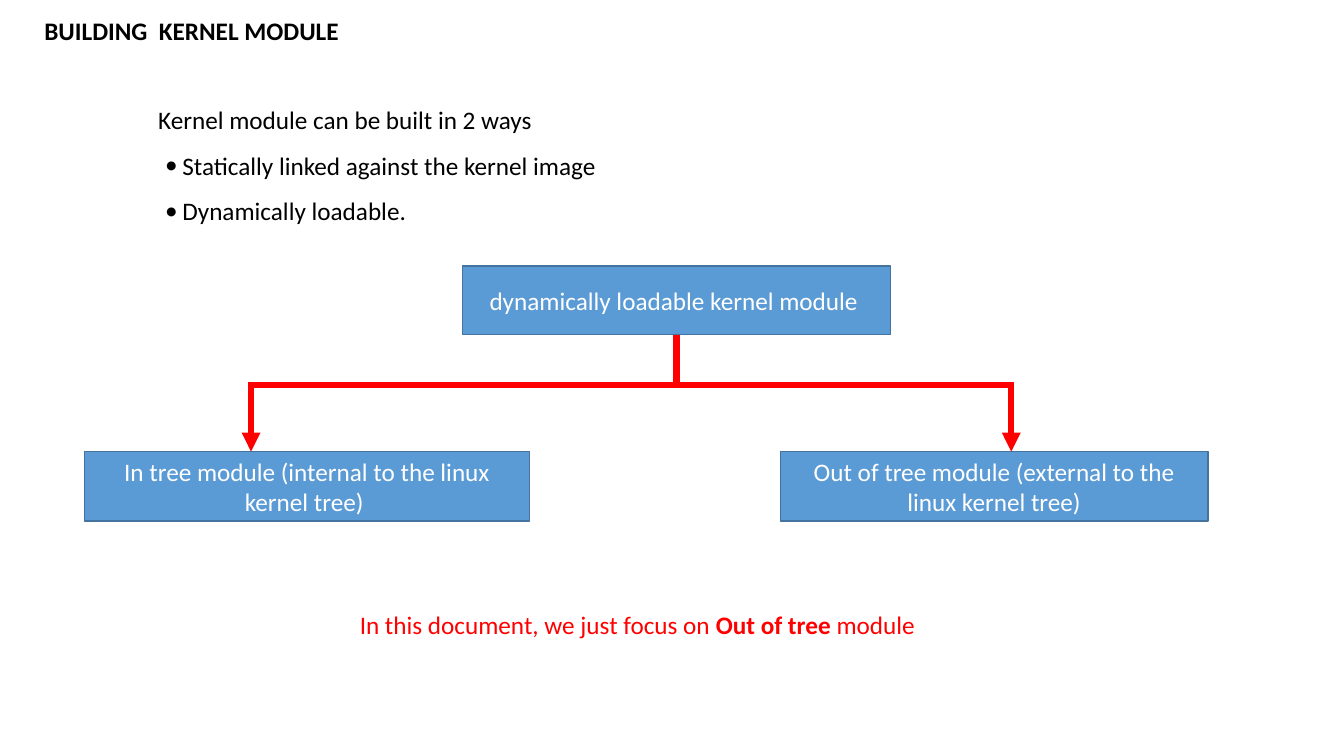
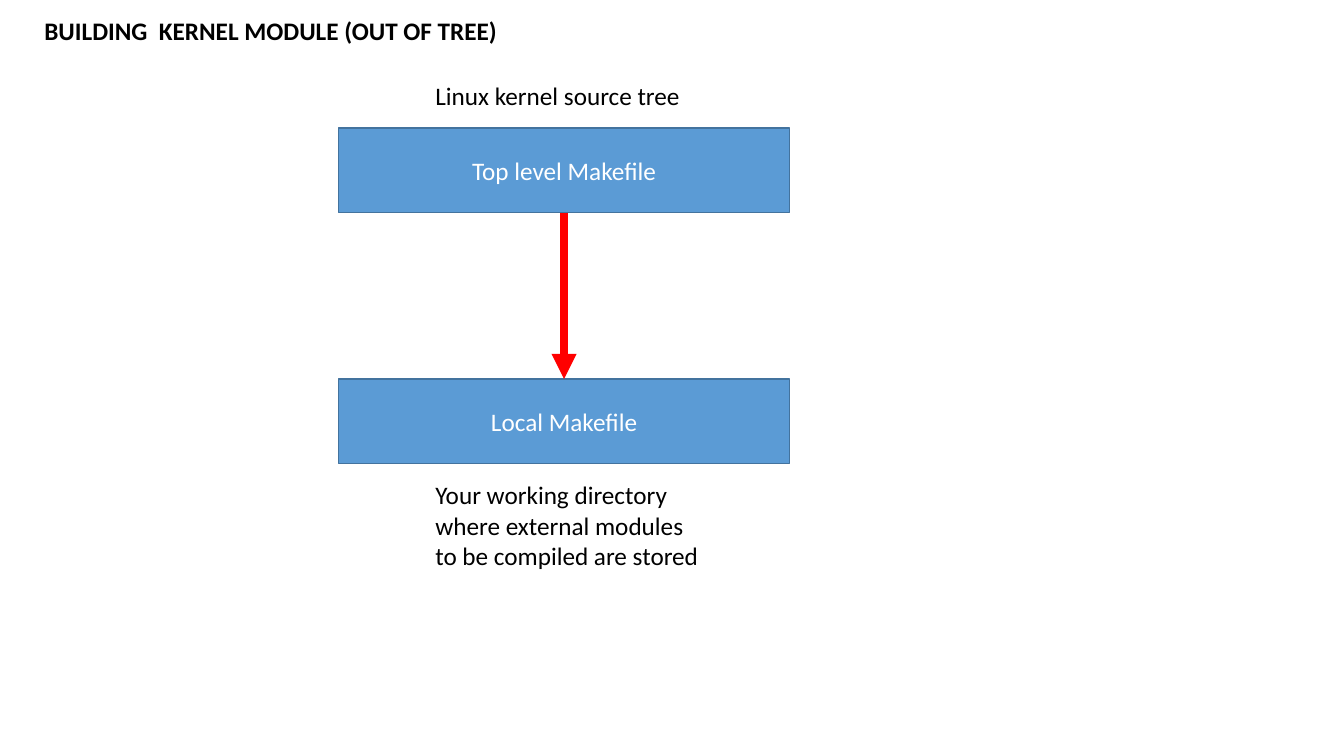
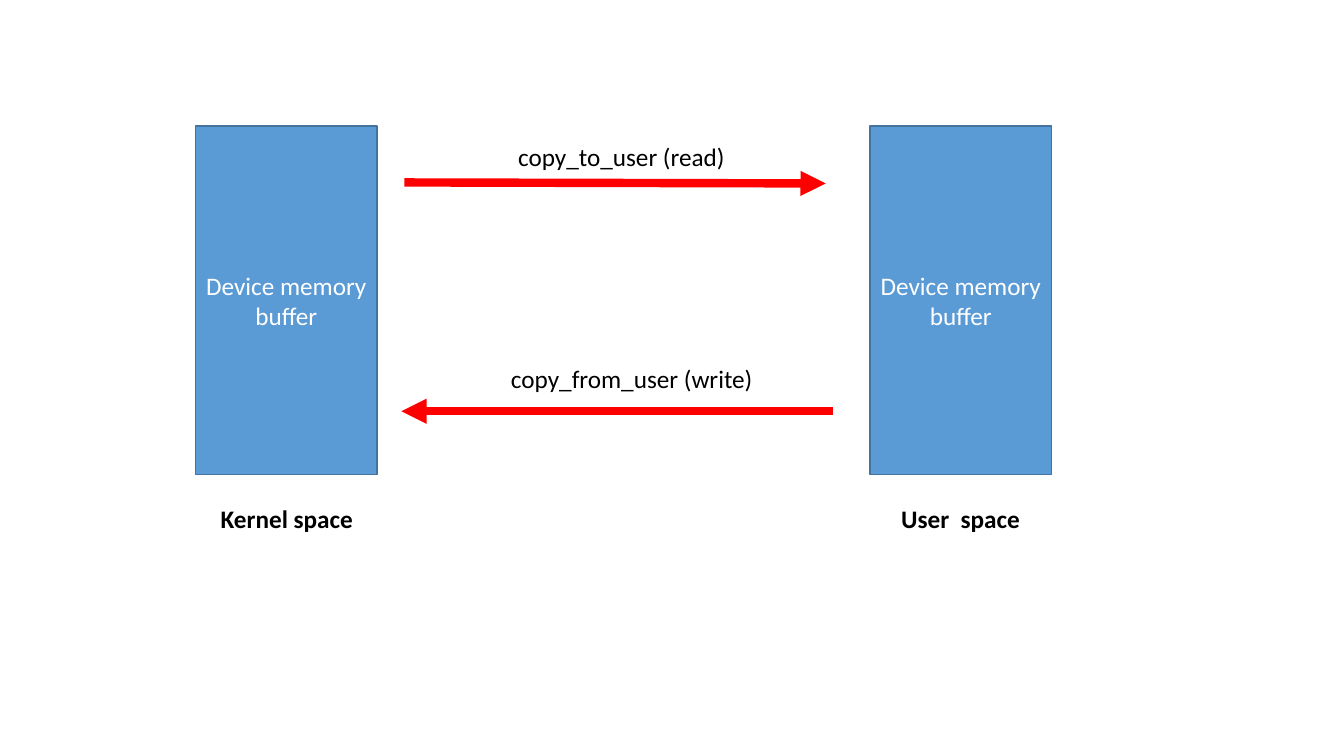
from dataclasses import dataclass
from typing import Optional

import pptx
import pptx.dml.color
import pptx.enum.shapes
import pptx.enum.text
import pptx.oxml
import pptx.oxml.ns
import pptx.util
from pptx.util import Inches

RGBColor = pptx.dml.color.RGBColor
BLACK = RGBColor(0x00, 0x00, 0x00)
WHITE = RGBColor(0xFF, 0xFF, 0xFF)
RED = RGBColor(0xFF, 0x00, 0x00)
BLUE = RGBColor(0x5B, 0x9B, 0xD5)
DARK_BLUE = RGBColor(0x43, 0x73, 0x9E)
FONT = "Calibri"
FONT_SIZE = pptx.util.Pt(18)
TITLE_ONLY, BLANK = 5, 6


@dataclass
class Box:
    text: str
    left: float
    top: float
    width: float
    height: float


@dataclass
class Label:
    runs: list[str]
    left: float
    top: float
    width: float
    height: float = 0.4
    color: RGBColor = BLACK
    bold_run: Optional[int] = None
    wrap: bool = True


@dataclass
class Line:
    x1: float
    y1: float
    x2: float
    y2: float
    weight: float = 4.5
    arrow: bool = False


def style_font(font, color: RGBColor, bold: bool = False) -> None:
    font.name = FONT
    font.size = FONT_SIZE
    font.bold = bold
    font.color.rgb = color


def add_title(s, text: str, width: float) -> None:
    sp = s.shapes.title
    sp.left, sp.top = Inches(0.34), Inches(0.1)
    sp.width, sp.height = Inches(width), Inches(0.4)
    tf = sp.text_frame
    tf.text = text
    tf.auto_size = pptx.enum.text.MSO_AUTO_SIZE.NONE
    tf.vertical_anchor = pptx.enum.text.MSO_ANCHOR.TOP
    p = tf.paragraphs[0]
    p.alignment = pptx.enum.text.PP_ALIGN.LEFT
    style_font(p.runs[0].font, BLACK, bold=True)


def add_box(s, box: Box):
    sp = s.shapes.add_shape(
        pptx.enum.shapes.MSO_SHAPE.RECTANGLE,
        Inches(box.left), Inches(box.top), Inches(box.width), Inches(box.height))
    sp.shadow.inherit = False
    sp.fill.solid()
    sp.fill.fore_color.rgb = BLUE
    sp.line.color.rgb = DARK_BLUE
    sp.line.width = pptx.util.Pt(1)
    tf = sp.text_frame
    tf.text = box.text
    tf.word_wrap = True
    tf.vertical_anchor = pptx.enum.text.MSO_ANCHOR.MIDDLE
    p = tf.paragraphs[0]
    p.alignment = pptx.enum.text.PP_ALIGN.CENTER
    style_font(p.runs[0].font, WHITE)
    return sp


def add_text_frame(s, left: float, top: float, width: float, height: float, wrap: bool = True):
    tf = s.shapes.add_textbox(
        Inches(left), Inches(top), Inches(width), Inches(height)).text_frame
    tf.word_wrap = wrap
    tf.auto_size = pptx.enum.text.MSO_AUTO_SIZE.SHAPE_TO_FIT_TEXT
    return tf


def add_label(s, label: Label) -> None:
    tf = add_text_frame(s, label.left, label.top, label.width, label.height, label.wrap)
    for i, text in enumerate(label.runs):
        r = tf.paragraphs[0].add_run()
        r.text = text
        style_font(r.font, label.color, bold=i == label.bold_run)


def add_bullet(p) -> None:
    pPr = p._p.get_or_add_pPr()
    pPr.set("marL", str(Inches(0.24)))
    pPr.set("indent", str(Inches(-0.17)))
    for tag, key, value in (("a:buFont", "typeface", FONT), ("a:buChar", "char", "•")):
        bullet = pptx.oxml.parse_xml(f"<{tag} {pptx.oxml.ns.nsdecls('a')}/>")
        bullet.set(key, value)
        pPr.append(bullet)


def add_list(s, intro: str, items: list[str]) -> None:
    tf = add_text_frame(s, 1.47, 0.84, 6.12, 1.46)
    for i, text in enumerate([intro, *items]):
        p = tf.paragraphs[0] if i == 0 else tf.add_paragraph()
        p.text = text
        p.line_spacing = 1.5
        if i > 0:
            add_bullet(p)
        style_font(p.runs[0].font, BLACK)


def add_line(s, line: Line):
    cxn = s.shapes.add_connector(
        pptx.enum.shapes.MSO_CONNECTOR.STRAIGHT,
        Inches(line.x1), Inches(line.y1), Inches(line.x2), Inches(line.y2))
    cxn.line.color.rgb = RED
    cxn.line.width = pptx.util.Pt(line.weight)
    ns = pptx.oxml.ns.nsdecls("a")
    if line.arrow:
        cxn.line._get_or_add_ln().append(
            pptx.oxml.parse_xml(f'<a:tailEnd {ns} type="triangle"/>'))
    cxn._element.spPr.append(pptx.oxml.parse_xml(f"<a:effectLst {ns}/>"))
    return cxn


def build_module_kinds(prs) -> None:
    s = prs.slides.add_slide(prs.slide_layouts[TITLE_ONLY])
    add_title(s, "BUILDING  KERNEL MODULE", 4.32)
    add_list(s, "Kernel module can be built in 2 ways",
             ["Statically linked against the kernel image", "Dynamically loadable."])

    loadable = add_box(s, Box("dynamically loadable kernel module ", 4.59, 2.64, 4.24, 0.68))
    child_top = 4.48
    add_box(s, Box("In tree module (internal to the linux kernel tree) ",
                   0.84, child_top, 4.41, 0.69))
    add_box(s, Box("Out of tree module (external to the linux kernel tree)",
                   7.74, child_top, 4.24, 0.69))

    bar_y, bar_overhang, branches = 3.82, 0.03, (2.49, 10.03)
    trunk = add_line(s, Line(6.71, 3.32, 6.71, bar_y))
    trunk.begin_connect(loadable, 2)
    add_line(s, Line(branches[0] - bar_overhang, bar_y, branches[1] + bar_overhang, bar_y))
    for x in branches:
        add_line(s, Line(x, bar_y, x, child_top, arrow=True))

    add_label(s, Label(["In this document, we just focus on ", "Out of tree ", "module"],
                       3.47, 6, 6.3, color=RED, bold_run=1))


def build_makefiles(prs) -> None:
    s = prs.slides.add_slide(prs.slide_layouts[TITLE_ONLY])
    add_title(s, "BUILDING  KERNEL MODULE (OUT OF TREE)", 5.01)
    top_level, local = [
        add_box(s, Box(text, 3.36, top, 4.47, 0.84))
        for text, top in (("Top level Makefile", 1.27), ("Local Makefile", 3.76))]
    arrow = add_line(s, Line(5.6, 2.11, 5.6, 3.76, weight=6, arrow=True))
    arrow.begin_connect(top_level, 2)
    arrow.end_connect(local, 0)
    add_label(s, Label(["Linux kernel source tree"], 4.22, 0.75, 2.87))
    add_label(s, Label(
        ["Your working directory where external modules to be compiled are stored"],
        4.22, 4.71, 2.87, 1.01))


def build_buffer_copy(prs) -> None:
    s = prs.slides.add_slide(prs.slide_layouts[BLANK])
    for left in (1.94, 8.63):
        add_box(s, Box("Device memory buffer", left, 1.25, 1.8, 3.46))
    for line in (Line(4.01, 1.81, 8.19, 1.82, weight=6, arrow=True),
                 Line(8.26, 4.08, 3.98, 4.08, weight=6, arrow=True)):
        add_line(s, line)
    for label in (Label(["copy_to_user (read)"], 5.04, 1.35, 2.28, wrap=False),
                  Label(["copy_from_user (write)"], 4.97, 3.56, 2.63, wrap=False),
                  Label(["Kernel space"], 2.09, 4.94, 1.52, bold_run=0, wrap=False),
                  Label(["User  space"], 8.84, 4.94, 1.38, bold_run=0, wrap=False)):
        add_label(s, label)


def main() -> None:
    prs = pptx.Presentation()
    prs.slide_width, prs.slide_height = Inches(13.33), Inches(7.5)
    build_module_kinds(prs)
    build_makefiles(prs)
    build_buffer_copy(prs)
    prs.save("out.pptx")


if __name__ == "__main__":
    main()
